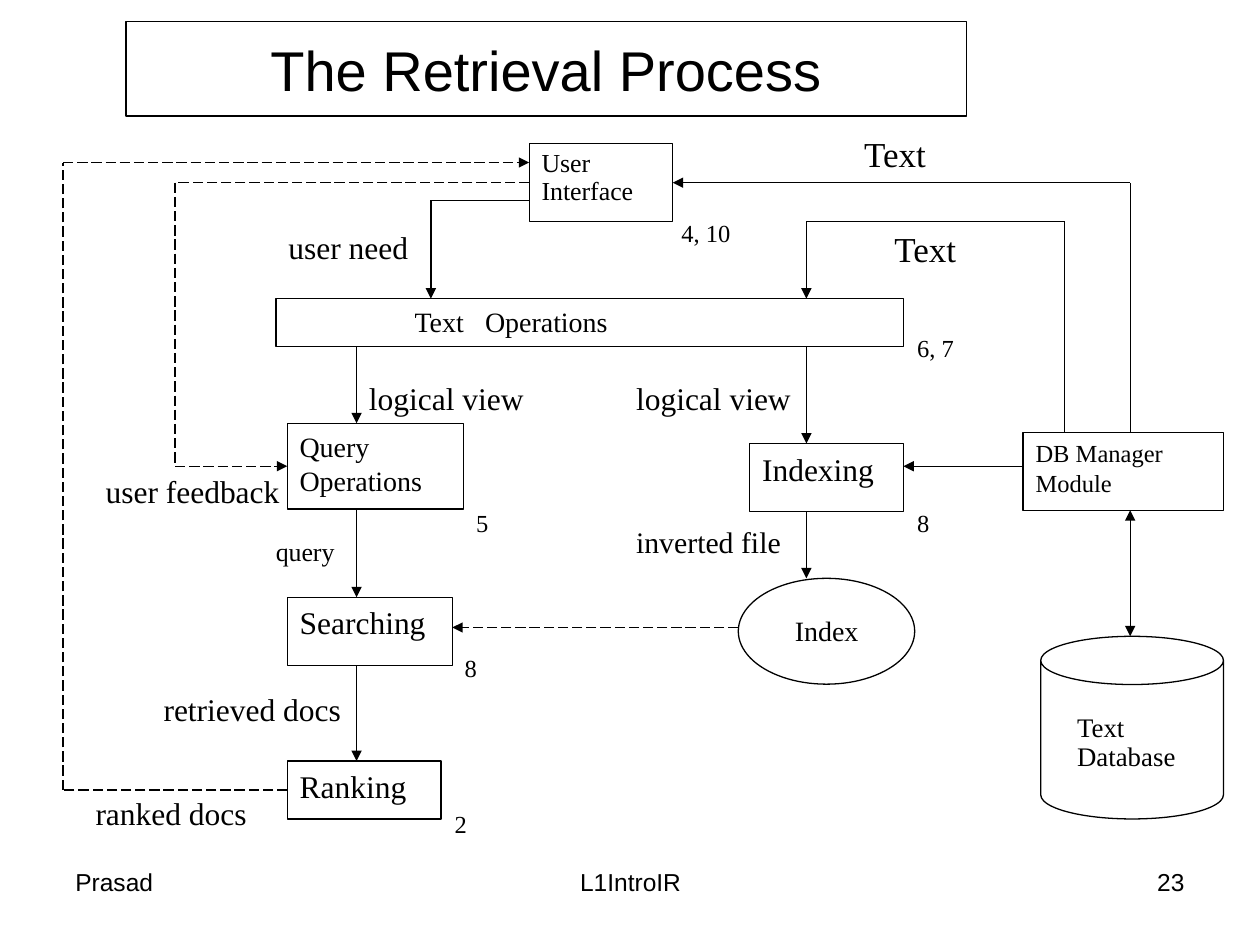
"""Build the retrieval process flow diagram slide."""
import itertools

import lxml.etree
import pptx
import pptx.dml.color
import pptx.enum.dml
import pptx.enum.shapes
import pptx.enum.text
import pptx.oxml.ns
import pptx.util

BLACK = pptx.dml.color.RGBColor(0x00, 0x00, 0x00)
WHITE = pptx.dml.color.RGBColor(0xFF, 0xFF, 0xFF)
SERIF = "Times New Roman"
SANS = "Arial"
LEFT = pptx.enum.text.PP_ALIGN.LEFT
CENTER = pptx.enum.text.PP_ALIGN.CENTER
RIGHT = pptx.enum.text.PP_ALIGN.RIGHT
TOP = pptx.enum.text.MSO_ANCHOR.TOP
MIDDLE = pptx.enum.text.MSO_ANCHOR.MIDDLE
RECTANGLE = pptx.enum.shapes.MSO_SHAPE.RECTANGLE
OVAL = pptx.enum.shapes.MSO_SHAPE.OVAL
CAN = pptx.enum.shapes.MSO_SHAPE.CAN
LINE_WIDTH = pptx.util.Pt(0.75)

presentation = pptx.Presentation()
presentation.slide_width = pptx.util.Inches(10)
presentation.slide_height = pptx.util.Inches(7.5)
COLUMN = presentation.slide_width / 100
ROW = presentation.slide_height / 75
slide = presentation.slides.add_slide(presentation.slide_layouts[5])


def on_grid(*lengths):
    """Turn alternating column and row counts into slide lengths."""
    return [round(length * unit) for length, unit in zip(lengths, itertools.cycle((COLUMN, ROW)))]


def write(shape, text, size, font=SERIF, alignment=LEFT, anchor=TOP, spacing=1.0):
    """Put formatted text into a shape, one paragraph for each line."""
    frame = shape.text_frame
    frame.text = text
    frame_format = {"word_wrap": True, "vertical_anchor": anchor,
                    "auto_size": pptx.enum.text.MSO_AUTO_SIZE.NONE}
    for name, value in frame_format.items():
        setattr(frame, name, value)
    for paragraph in frame.paragraphs:
        for name, value in {"alignment": alignment, "line_spacing": spacing}.items():
            setattr(paragraph, name, value)
        for name, value in {"name": font, "size": pptx.util.Pt(size), "bold": False}.items():
            setattr(paragraph.font, name, value)
        paragraph.font.color.rgb = BLACK


title = slide.shapes.title
title_place = dict(zip(("left", "top", "width", "height"), on_grid(10, 1.7, 66.7, 7.5)))
for name, value in title_place.items():
    setattr(title, name, value)
title.line.color.rgb = BLACK
title.line.width = LINE_WIDTH
write(title, "The Retrieval Process", 32, SANS, CENTER, MIDDLE)

footers = [
    ("Prasad", (5, 68.3, 23.3, 5.2), LEFT),
    ("L1IntroIR", (34.2, 68.3, 31.7, 5.2), CENTER),
    ("23", (71.7, 68.3, 23.3, 5.2), RIGHT),
]
for text, place, alignment in footers:
    write(slide.shapes.add_textbox(*on_grid(*place)), text, 14, SANS, alignment)

nodes = {
    "interface": (RECTANGLE, (42, 11.4, 11.4, 6.2), "User\nInterface", 14.8, 0.9),
    "text operations": (RECTANGLE, (21.9, 23.7, 49.8, 3.8), "Text\tOperations", 16, 1),
    "query operations": (RECTANGLE, (22.8, 33.6, 14, 6.8), "Query\nOperations", 16, 1),
    "indexing": (RECTANGLE, (59.5, 35.2, 12.2, 5.4), "Indexing", 18, 1),
    "searching": (RECTANGLE, (22.8, 47.4, 13.1, 5.4), "Searching", 18, 1),
    "ranking": (RECTANGLE, (22.8, 60.4, 12.2, 4.6), "Ranking", 18, 1),
    "manager": (RECTANGLE, (81.2, 34.3, 15.9, 6.2), "DB Manager\nModule", 14, 1),
    "index": (OVAL, (58.6, 45.9, 14, 8.4), "", 16, 1),
    "database": (CAN, (82.6, 50.5, 14.5, 14.5), "", 16, 1),
}
shapes = {}
for node, (kind, place, text, size, spacing) in nodes.items():
    shape = slide.shapes.add_shape(kind, *on_grid(*place))
    shape.shadow.inherit = False
    shape.fill.solid()
    shape.fill.fore_color.rgb = WHITE
    shape.line.color.rgb = BLACK
    shape.line.width = LINE_WIDTH
    if text:
        write(shape, text, size, spacing=spacing)
    shapes[node] = shape
shapes["database"].adjustments[0] = 0.264

operations_frame = shapes["text operations"].text_frame
operations_frame.margin_left = round(11 * COLUMN)
properties = operations_frame.paragraphs[0]._p.get_or_add_pPr()
tab_list = lxml.etree.Element(pptx.oxml.ns.qn("a:tabLst"))
lxml.etree.SubElement(tab_list, pptx.oxml.ns.qn("a:tab"), pos=str(round(5.6 * COLUMN)), algn="l")
properties.find(pptx.oxml.ns.qn("a:defRPr")).addprevious(tab_list)

labels = [
    ("Text", (67.6, 10, 8.9, 4.5), 20, 1),
    ("Text", (70, 17.6, 8.9, 4.5), 20, 1),
    ("user need", (21.9, 17.6, 11.9, 4.6), 18, 1),
    ("logical view", (28.3, 29.6, 14.5, 4.1), 18, 1),
    ("logical view", (49.5, 29.6, 14.5, 4.1), 18, 1),
    ("user feedback", (7.4, 37, 17, 4.4), 18, 1),
    ("query", (20.9, 42.3, 7.5, 3.6), 14.8, 0.9),
    ("inverted file", (49.5, 41.4, 15.8, 4.1), 17, 0.9),
    ("retrieved docs", (12, 54.3, 16.4, 4.6), 18, 1),
    ("ranked docs", (6.6, 62.5, 14.2, 4.1), 18, 1),
    ("Index", (62.1, 48.2, 7.9, 4.6), 16, 1),
    ("Text\nDatabase", (84.5, 56.2, 11.2, 6.3), 15.3, 0.9),
    ("4, 10", (53.1, 16.8, 10.9, 3.6), 14, 1),
    ("6, 7", (71.8, 25.9, 6.8, 3.6), 14, 1),
    ("5", (36.8, 39.8, 4.7, 4.1), 14, 1),
    ("8", (71.8, 39.8, 4.7, 4.1), 14, 1),
    ("8", (35.9, 51.3, 4.7, 4.1), 14, 1),
    ("2", (35.1, 63.7, 4.7, 5.1), 14, 1),
]
for text, place, size, spacing in labels:
    write(slide.shapes.add_textbox(*on_grid(*place)), text, size, spacing=spacing)

SOLID, DASHED = None, pptx.enum.dml.MSO_LINE.LONG_DASH
END, BOTH = ("tailEnd",), ("headEnd", "tailEnd")
routes = [
    ([(22.8, 62.7), (5, 62.7), (5, 12.9), (42, 12.9)], DASHED, END, ("ranking", 1), None),
    ([(42, 14.5), (13.9, 14.5), (13.9, 37), (22.8, 37)], DASHED, END,
     ("interface", 1), ("query operations", 1)),
    ([(58.6, 49.8), (35.9, 49.8)], DASHED, END, None, None),
    ([(42, 15.9), (34.2, 15.9), (34.2, 23.7)], SOLID, END, None, None),
    ([(89.7, 34.3), (89.7, 14.5), (53.4, 14.5)], SOLID, END, None, ("interface", 3)),
    ([(84.5, 34.3), (84.5, 17.6), (64, 17.6), (64, 23.7)], SOLID, END, None, None),
    ([(28.3, 27.5), (28.3, 33.6)], SOLID, END, None, None),
    ([(28.3, 40.4), (28.3, 47.4)], SOLID, END, None, None),
    ([(28.3, 52.8), (28.3, 60.4)], SOLID, END, None, None),
    ([(64, 27.5), (64, 35.2)], SOLID, END, None, None),
    ([(64, 40.6), (64, 45.9)], SOLID, END, None, None),
    ([(81.2, 37), (71.7, 37)], SOLID, END, None, None),
    ([(89.7, 50.5), (89.7, 40.5)], SOLID, BOTH, None, None),
]
for points, dash, arrowheads, source, target in routes:
    segments = []
    for start, end in itertools.pairwise(points):
        connector = slide.shapes.add_connector(
            pptx.enum.shapes.MSO_CONNECTOR.STRAIGHT, *on_grid(*start, *end))
        connector.line.color.rgb = BLACK
        connector.line.width = LINE_WIDTH
        connector.line.dash_style = dash
        segments.append(connector)
    if source:
        segments[0].begin_connect(shapes[source[0]], source[1])
    if target:
        segments[-1].end_connect(shapes[target[0]], target[1])
    for arrowhead in arrowheads:
        lxml.etree.SubElement(segments[-1].line._get_or_add_ln(),
                              pptx.oxml.ns.qn("a:" + arrowhead), type="triangle")
    for connector in segments:
        lxml.etree.SubElement(connector._element.spPr, pptx.oxml.ns.qn("a:effectLst"))

presentation.save("out.pptx")
